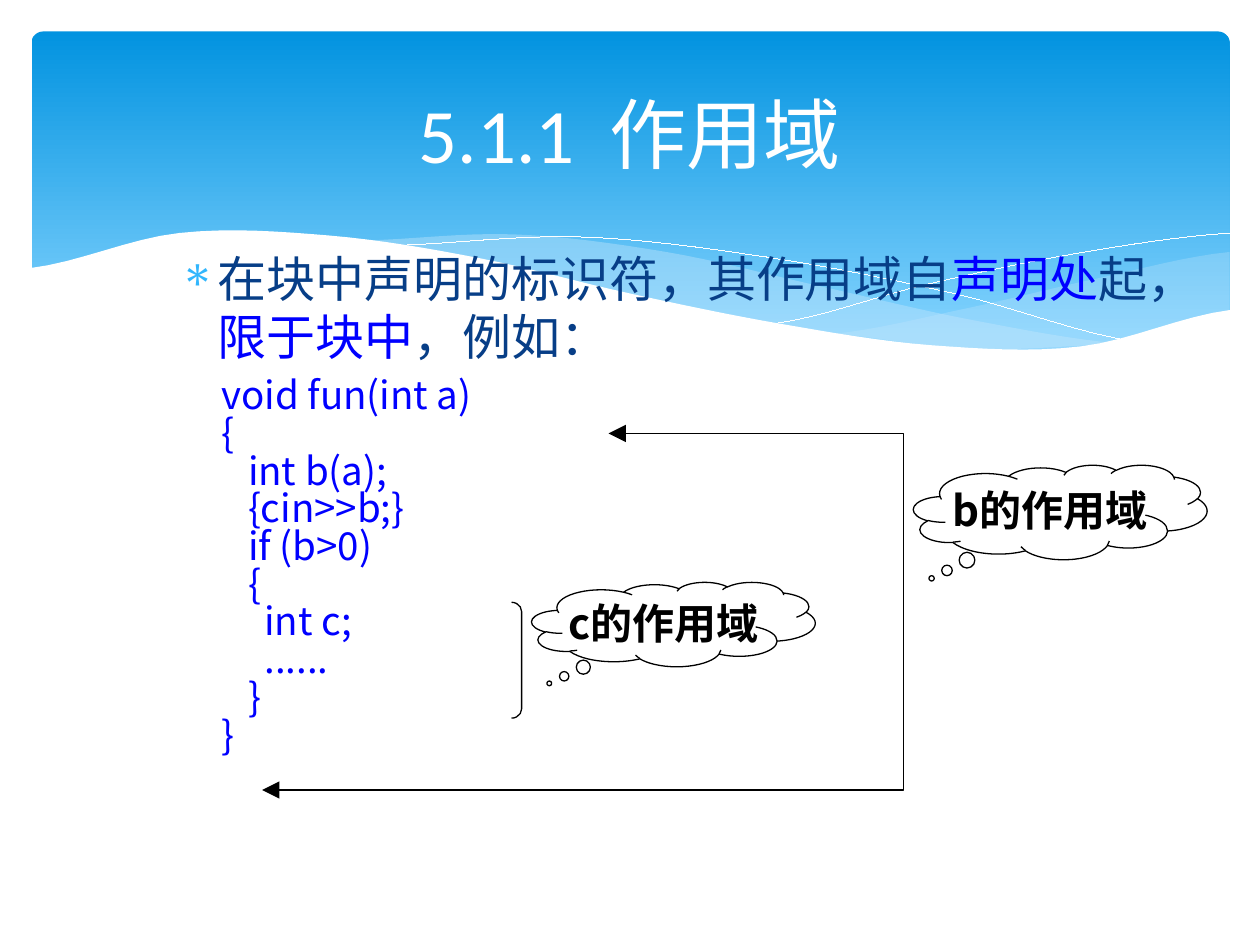
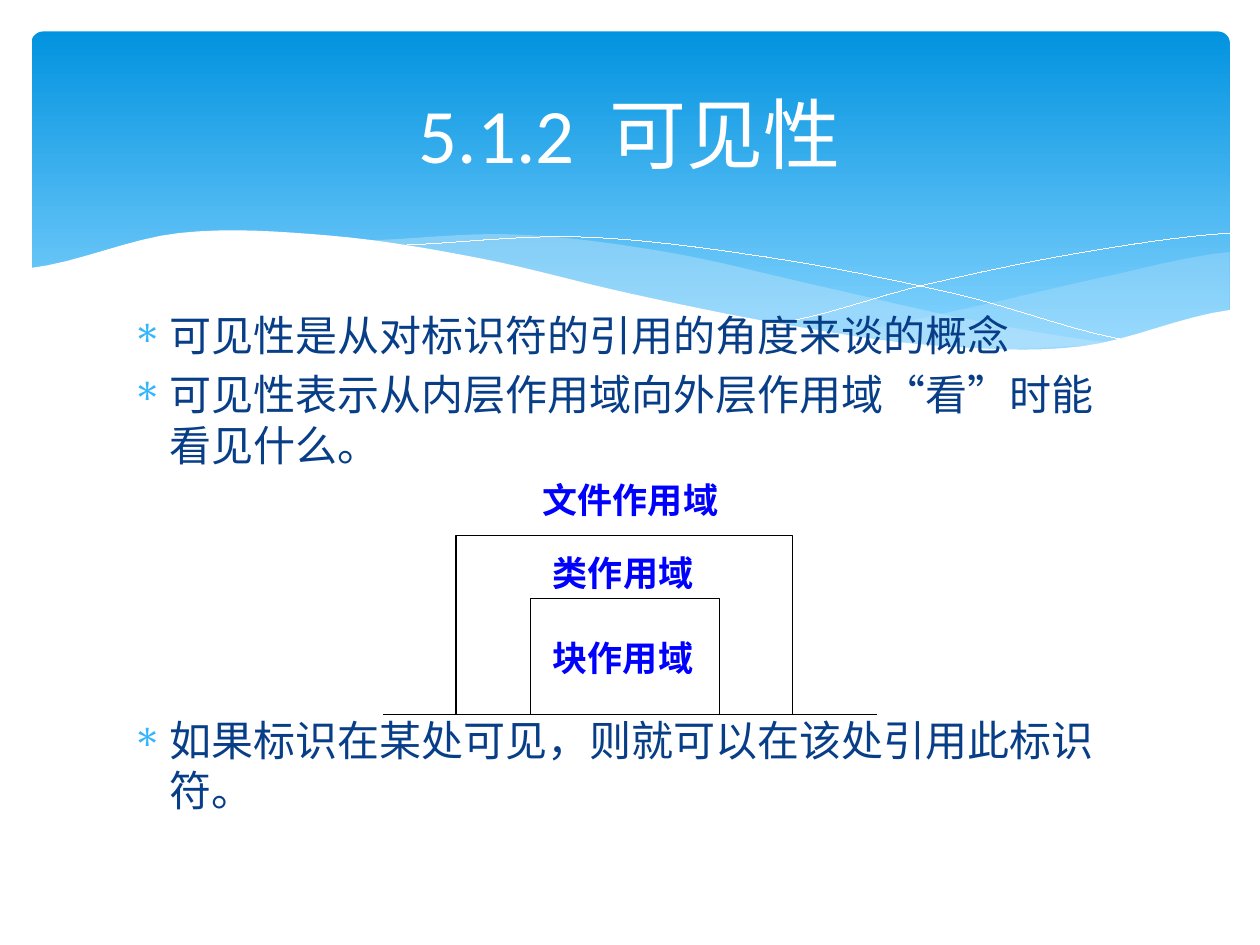
import dataclasses

import lxml.etree
import pptx
import pptx.dml.color
import pptx.enum.dml
import pptx.enum.shapes
import pptx.enum.text
import pptx.oxml.ns
import pptx.util

Inches = pptx.util.Inches
Pt = pptx.util.Pt
SHAPES = pptx.enum.shapes.MSO_SHAPE
qn = pptx.oxml.ns.qn


@dataclasses.dataclass(frozen=True)
class Theme:
    white: str = "FFFFFF"
    black: str = "000000"
    navy: str = "073E87"
    blue: str = "0000FF"
    bullet: str = "31B6FD"
    band_top: str = "0293E0"
    band_bottom: str = "83D3FE"
    wave: str = "C6E7FC"
    latin: str = "Calibri"
    cjk: str = "Noto Sans CJK SC"
    serif: str = "Times New Roman"
    bullet_font: str = "Symbol"
    title: int = 44
    lead: int = 28
    body: int = 24
    code: int = 22
    label: int = 20
    line: float = 0.75
    hairline: float = 0
    before: float = 0.2  # space above a paragraph, as a share of its type size


THEME = Theme()


def rgb(value):
    return pptx.dml.color.RGBColor.from_string(value)


def paint(shape, fill=None, alpha=None, line=None, width=THEME.line):
    shape.shadow.inherit = False
    if fill:
        shape.fill.solid()
        shape.fill.fore_color.rgb = rgb(fill)
        if alpha:
            color = shape.fill._xPr.find(qn("a:solidFill"))[0]
            lxml.etree.SubElement(color, qn("a:alpha"), val=str(alpha * 1000))
    else:
        shape.fill.background()
    if line:
        shape.line.color.rgb = rgb(line)
        shape.line._get_or_add_ln().set("w", str(Pt(width)))  # keeps a width of 0
    else:
        shape.line.fill.background()


def curve(left, right, heights, steps=8):
    """Points of a Catmull-Rom spline through heights spaced evenly from left to right."""
    knots = [heights[0], *heights, heights[-1]]
    spans = len(heights) - 1
    points = []
    for span in range(spans):
        a, b, c, d = knots[span:span + 4]
        for step in range(steps):
            t = step / steps
            y = b + t / 2 * (c - a + t * (2 * a - 5 * b + 4 * c - d + t * (3 * (b - c) + d - a)))
            points.append((left + (right - left) * (span + t) / spans, y))
    return points + [(right, heights[-1])]


def outline(slide, points, close=False):
    start, *rest = [(Inches(x), Inches(y)) for x, y in points]
    builder = slide.shapes.build_freeform(*start)
    builder.add_line_segments(rest, close=close)
    return builder.convert_to_shape()


def add_wave(slide, left, right, upper, lower, fill, alpha=None):
    """A filled area between two curves, given by their heights."""
    edge = curve(left, right, upper) + curve(left, right, lower)[::-1]
    paint(outline(slide, edge, close=True), fill, alpha)


def add_title_band(slide, left, top, width, height):
    band = slide.shapes.add_shape(
        SHAPES.ROUNDED_RECTANGLE, *map(Inches, (left, top, width, height)))
    band.adjustments[0] = 0.034
    paint(band)
    band.fill.gradient()
    band.fill.gradient_angle = 270
    start, end = band.fill.gradient_stops
    start.color.rgb, end.color.rgb = rgb(THEME.band_top), rgb(THEME.band_bottom)
    start.position, end.position = 0, 0.9

    right, floor = left + width, top + 3.04

    def below(*drops):
        return [top + drop for drop in drops]

    add_wave(slide, left + 6.36, right, below(2.4, 2.2, 1.96, 1.75),
             below(2.4, 2.52, 2.49, 2.22), THEME.wave, alpha=29)
    add_wave(slide, left + 2.61, left + 8.68, below(1.66, 1.61, 1.75, 2.02, 2.29, 2.48),
             below(1.66, 1.87, 2.15, 2.39, 2.52, 2.48), THEME.wave, alpha=40)
    for start_x, end_x, heights in (
            (left + 2.84, left + 8.82, below(1.7, 1.63, 1.79, 2.08, 2.47)),
            (left + 5.88, right, below(2.32, 2.01, 1.76, 1.6))):
        paint(outline(slide, curve(start_x, end_x, heights)),
              line=THEME.white, width=THEME.hairline)
    add_wave(slide, left - 0.02, right + 0.01,
             below(1.88, 1.6, 1.62, 1.8, 2.08, 2.32, 2.49, 2.5, 2.21),
             [floor, floor], THEME.white)


def style_run(run, size, color, font, bold=False):
    run.font.size = Pt(size)
    run.font.color.rgb = rgb(color)
    run.font.name = font
    run.font.bold = bold


def center(frame):
    frame.vertical_anchor = pptx.enum.text.MSO_ANCHOR.MIDDLE
    frame.paragraphs[0].alignment = pptx.enum.text.PP_ALIGN.CENTER


def set_indent(paragraph, left, first=0):
    props = paragraph._p.get_or_add_pPr()
    props.set("marL", str(Inches(left)))
    props.set("indent", str(Inches(first)))
    return props


def add_text_box(slide, left, top, width, height):
    frame = slide.shapes.add_textbox(*map(Inches, (left, top, width, height))).text_frame
    frame.word_wrap = True
    return frame


def next_paragraph(frame):
    """The empty first paragraph, or a new one."""
    return frame.add_paragraph() if frame.paragraphs[0].runs else frame.paragraphs[0]


def add_bullet(frame, pieces, size, font, gap=0, after=0):
    """pieces: (text, colour) pairs; gap: points kept free above the usual spacing."""
    paragraph = next_paragraph(frame)
    paragraph.space_before = Pt(size * THEME.before + gap)
    paragraph.space_after = Pt(after)
    props = set_indent(paragraph, 0.3, -0.3)
    color = lxml.etree.SubElement(props, qn("a:buClr"))
    lxml.etree.SubElement(color, qn("a:srgbClr"), val=THEME.bullet)
    lxml.etree.SubElement(props, qn("a:buFont"), typeface=THEME.bullet_font)
    lxml.etree.SubElement(props, qn("a:buChar"), char="∗")
    for text, text_color in pieces:
        run = paragraph.add_run()
        run.text = text
        style_run(run, size, text_color, font)


def add_code(frame, lines):
    """lines: (indent in inches, text) pairs."""
    for indent, text in lines:
        paragraph = next_paragraph(frame)
        paragraph.text = text
        paragraph.line_spacing = 0.65
        paragraph.space_before = Pt(THEME.code * THEME.before)
        set_indent(paragraph, 0.33 + indent)
        style_run(paragraph.runs[0], THEME.code, THEME.blue, THEME.cjk)


def add_titled_slide(deck, heading):
    slide = deck.slides.add_slide(deck.slide_layouts[5])
    add_title_band(slide, 0.25, 0.25, 9.51, 2.7)
    title = slide.shapes.title
    slide.shapes.element.append(title.element)  # in front of the band
    title.left, title.top, title.width, title.height = map(Inches, (0.5, 0.37, 9, 1.37))
    title.text_frame.text = heading
    center(title.text_frame)
    style_run(title.text_frame.paragraphs[0].runs[0], THEME.title, THEME.white, THEME.latin)
    return slide


def add_thought(slide, left, top, width, height, text):
    cloud = slide.shapes.add_shape(SHAPES.CLOUD_CALLOUT, *map(Inches, (left, top, width, height)))
    cloud.adjustments[0], cloud.adjustments[1] = -0.438, 0.7
    paint(cloud, line=THEME.black)
    frame = cloud.text_frame
    frame.word_wrap = False
    frame.text = text
    center(frame)
    style_run(frame.paragraphs[0].runs[0], THEME.body, THEME.black, THEME.cjk, bold=True)


def add_inner_scope(slide, left, top):
    add_thought(slide, left + 0.16, top, 2.25, 0.67, "c的作用域")
    bracket = slide.shapes.add_shape(
        SHAPES.RIGHT_BRACKET, *map(Inches, (left, top + 0.16, 0.08, 0.92)))
    bracket.adjustments[0] = 0.917
    paint(bracket, line=THEME.black)


def add_outer_scope(slide, left, top, width, height):
    right, bottom = left + width, top + height
    reach = outline(slide, [(left + 2.75, top), (right, top), (right, bottom), (left, bottom)])
    paint(reach, line=THEME.black)
    for end in ("a:headEnd", "a:tailEnd"):
        lxml.etree.SubElement(reach.line._get_or_add_ln(), qn(end),
                              type="triangle", w="lg", len="lg")
    add_thought(slide, right + 0.08, top + 0.25, 2.33, 0.75, "b的作用域")


def build_scope_slide(deck):
    slide = add_titled_slide(deck, "5.1.1  作用域")
    frame = add_text_box(slide, 1.33, 1.92, 7.92, 5)
    add_bullet(frame, [("在块中声明的标识符，其作用域自", THEME.navy), ("声明处", THEME.blue),
                       ("起，", THEME.navy), ("限于块中", THEME.blue),
                       ("，例如：", THEME.navy)], THEME.lead, THEME.cjk, after=7)
    block, nested = 0.21, 0.34
    add_code(frame, [(0, "void fun(int a)"), (0, "{"), (block, "int b(a);"),
                     (block, "{cin>>b;}"), (block, "if (b>0)"), (block, "{"),
                     (nested, "int c;"), (nested, "......"), (block, "}"), (0, "}")])
    add_inner_scope(slide, 4.06, 4.62)
    add_outer_scope(slide, 2.08, 3.44, 5.09, 2.83)


def add_nested_scopes(slide, left, top, width, height):
    """Arches on a ground line, each scope named inside the next one out."""
    ground = top + height
    base = slide.shapes.add_connector(
        pptx.enum.shapes.MSO_CONNECTOR.STRAIGHT,
        *map(Inches, (left, ground, left + width, ground)))
    base.line.color.rgb = rgb(THEME.black)
    base.line.width = Pt(THEME.line)
    lxml.etree.SubElement(base._element.spPr, qn("a:effectLst"))
    class_arch, block_arch = (0.58, 1.42, 2.67), (1.17, 0.92, 1.5)
    for offset, rise, span in (class_arch, block_arch):
        start, end, roof = left + offset, left + offset + span, ground - rise
        paint(outline(slide, [(start, ground), (start, roof), (end, roof), (end, ground)]),
              line=THEME.black)
    for name, x, y, name_width in (("块作用域", 1.25, 1.25, 1.33), ("类作用域", 1.25, 0.58, 1.58),
                                   ("文件作用域", 1.17, 0, 1.75)):
        frame = add_text_box(slide, left + x, top + y, name_width, 0.43)
        frame.text = name
        style_run(frame.paragraphs[0].runs[0], THEME.label, THEME.blue, THEME.serif, bold=True)


def build_visibility_slide(deck):
    slide = add_titled_slide(deck, "5.1.2  可见性")
    frame = add_text_box(slide, 0.95, 2.41, 8.1, 4.29)
    diagram_gap = 135
    for text, gap in (
            ("可见性是从对标识符的引用的角度来谈的概念", 0),
            ("可见性表示从内层作用域向外层作用域“看”时能看见什么。", 0),
            ("如果标识在某处可见，则就可以在该处引用此标识符。", diagram_gap)):
        add_bullet(frame, [(text, THEME.navy)], THEME.body, THEME.latin, gap)
    add_nested_scopes(slide, 3.04, 3.75, 3.92, 1.92)


def main():
    deck = pptx.Presentation()
    deck.slide_width, deck.slide_height = Inches(10), Inches(7.5)
    build_scope_slide(deck)
    build_visibility_slide(deck)
    deck.save("out.pptx")


if __name__ == "__main__":
    main()
